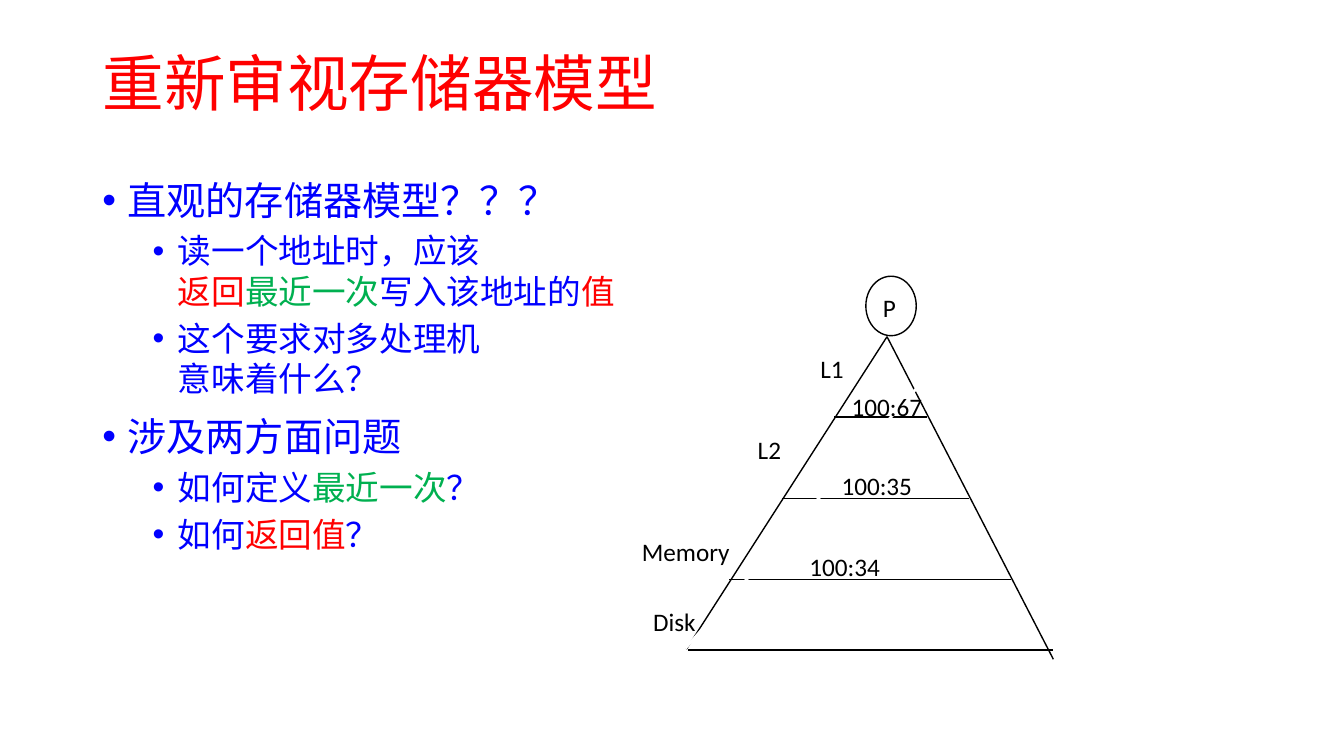
from dataclasses import dataclass

from lxml import etree
from pptx import Presentation, util as u
from pptx.dml.color import RGBColor
from pptx.enum import shapes, text
from pptx.oxml.ns import qn


@dataclass(frozen=True)
class Theme:
    red: str = "FF0000"
    blue: str = "0000FF"
    green: str = "00B050"
    black: str = "000000"
    white: str = "FFFFFF"
    heading_font: str = "Arial"
    label_font: str = "Calibri"
    title_size: int = 44
    body_sizes: tuple = (28, 24)
    label_size: int = 18


def add_text(paragraph, content, font, size, color):
    for index, line in enumerate(content.split("\n")):
        if index:
            paragraph.add_line_break()
        if line:
            run = paragraph.add_run()
            run.text = line
            run.font.name = font
            run.font.size = u.Pt(size)
            run.font.color.rgb = RGBColor.from_string(color)


class SlideBuilder:
    def __init__(self, presentation, theme):
        self.theme = theme
        self.slide = presentation.slides.add_slide(presentation.slide_layouts[5])

    def title(self, content, left, top, width, height):
        title = self.slide.shapes.title
        title.left, title.top = u.Pt(left), u.Pt(top)
        title.width, title.height = u.Pt(width), u.Pt(height)
        title.text_frame.vertical_anchor = text.MSO_ANCHOR.MIDDLE
        paragraph = title.text_frame.paragraphs[0]
        paragraph.alignment = text.PP_ALIGN.LEFT
        paragraph.line_spacing = 0.9
        add_text(paragraph, content, font=self.theme.heading_font,
                 size=self.theme.title_size, color=self.theme.red)

    def text_box(self, left, top, width, height, wrap):
        box = self.slide.shapes.add_textbox(u.Pt(left), u.Pt(top), u.Pt(width), u.Pt(height))
        box.text_frame.word_wrap = wrap
        return box.text_frame

    def bullets(self, items, left, top, width, height):
        frame = self.text_box(left, top, width, height, wrap=True)
        for index, (level, runs) in enumerate(items):
            paragraph = frame.add_paragraph() if index else frame.paragraphs[0]
            paragraph.level = level
            if index:
                paragraph.space_before = u.Pt(5 if level else 10)
            properties = paragraph._p.get_or_add_pPr()
            properties.set("marL", str(u.Pt(18 + 36 * level)))
            properties.set("indent", str(u.Pt(-18)))
            etree.SubElement(properties, qn("a:buFont")).set("typeface", self.theme.heading_font)
            etree.SubElement(properties, qn("a:buChar")).set("char", "•")
            for content, color in runs:
                add_text(paragraph, content, font=self.theme.heading_font,
                         size=self.theme.body_sizes[level], color=color)

    def label(self, content, left, top, width):
        frame = self.text_box(left, top, width, 29, wrap=False)
        add_text(frame.paragraphs[0], content, font=self.theme.label_font,
                 size=self.theme.label_size, color=self.theme.black)

    def line(self, start, end, color, width=1):
        connector = self.slide.shapes.add_connector(
            shapes.MSO_CONNECTOR.STRAIGHT, *(u.Pt(value) for value in (*start, *end)))
        connector.line.color.rgb = RGBColor.from_string(color)
        connector.line.width = u.Pt(width)
        etree.SubElement(connector._element.spPr, qn("a:effectLst"))

    def ellipse(self, left, top, width, height):
        ellipse = self.slide.shapes.add_shape(
            shapes.MSO_SHAPE.OVAL, u.Pt(left), u.Pt(top), u.Pt(width), u.Pt(height))
        ellipse.shadow.inherit = False
        ellipse.fill.background()
        ellipse.line.color.rgb = RGBColor.from_string(self.theme.black)
        ellipse.line.width = u.Pt(1)


def main():
    presentation = Presentation()
    presentation.slide_width, presentation.slide_height = u.Pt(960), u.Pt(540)
    theme = Theme()
    red, blue, green = theme.red, theme.blue, theme.green
    builder = SlideBuilder(presentation, theme)

    builder.title("重新审视存储器模型", 66, 28.8, 828, 65.5)
    builder.bullets([
        (0, [("直观的存储器模型？？？", blue)]),
        (1, [("读一个地址时，应该\n", blue), ("返回", red), ("最近一次", green),
             ("写入该地址的", blue), ("值", red)]),
        (1, [("这个要求对多处理机\n意味着什么？", blue)]),
        (0, [("涉及两方面问题", blue)]),
        (1, [("如何定义", blue), ("最近一次", green), ("？", blue)]),
        (1, [("如何", blue), ("返回值", red), ("？", blue)]),
    ], 66, 122.4, 828, 402.5)

    builder.label("P", 623.5, 205.2, 24)
    builder.ellipse(618.5, 197.3, 36, 42.5)

    apex = (633.6, 240.5)
    builder.line(apex, (490.3, 463.7), theme.black)
    builder.line(apex, (752.4, 470.9), theme.black)
    for tier in range(3):
        level = 298 + 58 * tier
        builder.line((596 - 37.5 * tier, level), (662.5 + 30 * tier, level), theme.black)
    builder.line((491.8, 464.4), (752.4, 464.4), theme.black)
    builder.line((686.9, 241.2), (489.6, 463), theme.white, width=2)

    for content, left, top, width in [
        ("L1", 578.9, 249.1, 31), ("L2", 534.2, 306.7, 31),
        ("Memory", 451.4, 379.4, 77.8), ("Disk", 459.4, 429.8, 45.4),
        ("100:67", 601.2, 275.8, 65.5), ("100:35", 594, 332.6, 65.5),
        ("100:34", 571, 390.2, 65.5),
    ]:
        builder.label(content, left, top, width)

    presentation.save("out.pptx")


if __name__ == "__main__":
    main()
